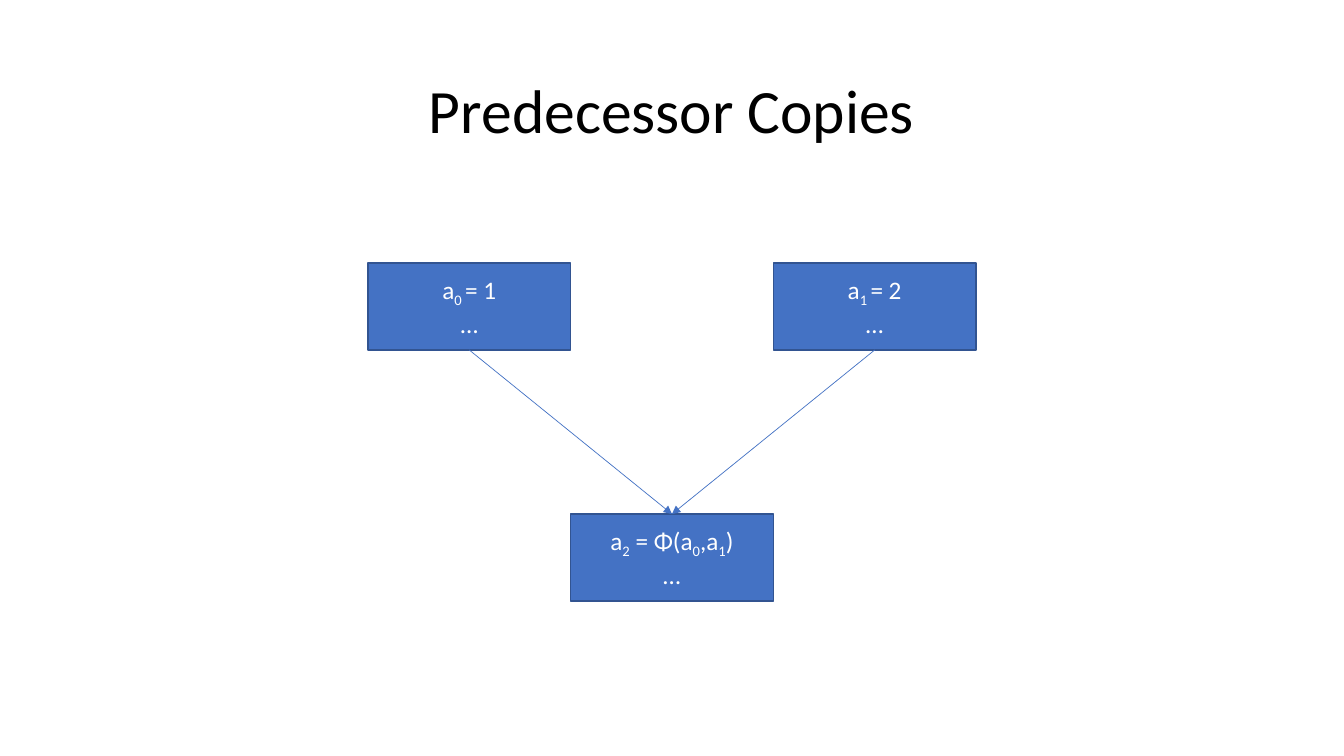
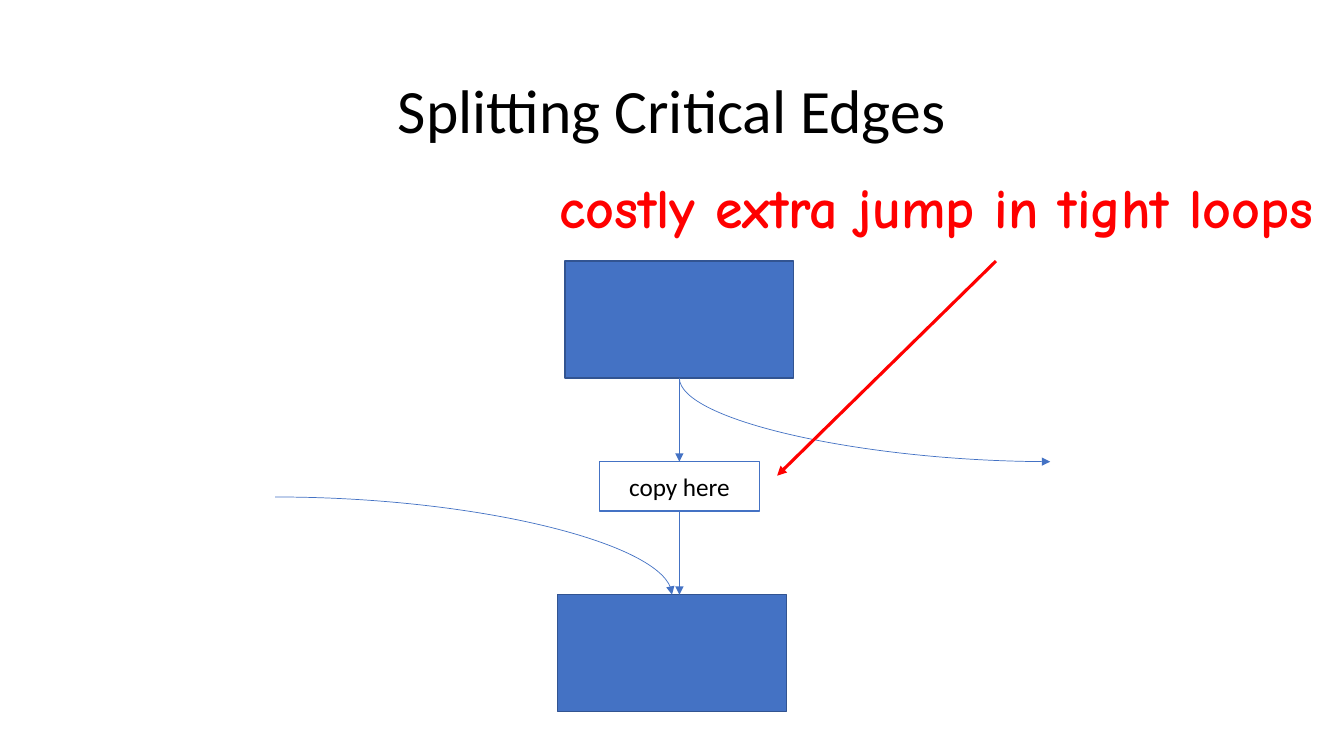
from dataclasses import dataclass

from lxml.etree import SubElement
from pptx import Presentation
from pptx.dml.color import RGBColor
from pptx.enum.shapes import MSO_CONNECTOR, MSO_SHAPE
from pptx.enum.text import MSO_ANCHOR, MSO_AUTO_SIZE, PP_ALIGN
from pptx.oxml.ns import qn
from pptx.slide import Slide
from pptx.text.text import TextFrame
from pptx.util import Pt

BLUE, NAVY, RED = "4472C4", "325491", "FF0000"
WHITE, BLACK = "FFFFFF", "000000"
Point = tuple[float, float]


@dataclass(frozen=True)
class Box:
    left: float
    top: float
    width: float
    height: float
    text: str = ""
    fill: str = BLUE
    line: str = NAVY
    color: str = WHITE

    @property
    def top_mid(self) -> Point:
        return self.left + self.width / 2, self.top

    @property
    def bottom_mid(self) -> Point:
        return self.left + self.width / 2, self.top + self.height


@dataclass(frozen=True)
class Arrow:
    start: Point
    end: Point
    color: str = BLUE
    width: float = 0.5
    curved: bool = False
    tip: str = "tailEnd"


def rgb(value: str) -> RGBColor:
    return RGBColor.from_string(value)


def write(tf: TextFrame, text: str, *, size: float = 18, font: str = "Calibri",
          color: str = BLACK, bold: bool = False, align: PP_ALIGN = PP_ALIGN.CENTER,
          spacing: float = 1.0) -> None:
    """Write one paragraph per line; parts between underscores are subscripts."""
    for i, line in enumerate(text.split("\n")):
        p = tf.paragraphs[0] if i == 0 else tf.add_paragraph()
        p.alignment, p.line_spacing = align, spacing
        for j, part in enumerate(line.split("_")):
            r = p.add_run()
            r.text = part
            r.font.size, r.font.name, r.font.bold = Pt(size), font, bold
            r.font.color.rgb = rgb(color)
            if j % 2:
                r._r.get_or_add_rPr().set("baseline", "-25000")


def add_box(s: Slide, box: Box) -> None:
    sp = s.shapes.add_shape(MSO_SHAPE.RECTANGLE, Pt(box.left), Pt(box.top),
                            Pt(box.width), Pt(box.height))
    sp.shadow.inherit = False
    sp.fill.solid()
    sp.fill.fore_color.rgb = rgb(box.fill)
    sp.line.color.rgb = rgb(box.line)
    sp.line.width = Pt(1)
    if box.text:
        tf = sp.text_frame
        tf.vertical_anchor = MSO_ANCHOR.MIDDLE
        write(tf, box.text, color=box.color)


def add_arrow(s: Slide, arrow: Arrow) -> None:
    kind = MSO_CONNECTOR.CURVE if arrow.curved else MSO_CONNECTOR.STRAIGHT
    sp = s.shapes.add_connector(kind, *map(Pt, arrow.start + arrow.end))
    sp.line.color.rgb = rgb(arrow.color)
    sp.line.width = Pt(arrow.width)
    props = sp._element.spPr
    if arrow.curved:
        props.find(qn("a:prstGeom")).set("prst", "curvedConnector2")
    SubElement(props.find(qn("a:ln")), qn(f"a:{arrow.tip}")).set("type", "triangle")
    SubElement(props, qn("a:effectLst"))


def add_slide(title: str, boxes: list[Box], arrows: list[Arrow]) -> Slide:
    s = prs.slides.add_slide(layout)
    write(s.shapes.title.text_frame, title, size=44, spacing=0.9)
    for box in boxes:
        add_box(s, box)
    for arrow in arrows:
        add_arrow(s, arrow)
    return s


prs = Presentation()
prs.slide_width, prs.slide_height = Pt(960), Pt(540)
layout = prs.slide_layouts.get_by_name("Title Only")
title = layout.placeholders[0]
title.left, title.top, title.width, title.height = map(Pt, (66, 28.8, 828, 104.4))
title.text_frame.vertical_anchor = MSO_ANCHOR.MIDDLE

w, h, left, top = 144.8, 62, 262.8, 188
one = Box(left, top, w, h, "a_0 _= 1\n…")
two = Box(left + 2 * w, top, w, h, "a_1 _= 2\n…")
phi = Box(left + w, 367.2, w, h, "a_2_ = Φ(a_0_,a_1_)\n…")
add_slide("Predecessor Copies", [phi, one, two],
          [Arrow(b.bottom_mid, phi.top_mid) for b in (one, two)])

w, h = 163.4, 83.5
source = Box(403.6, 186.5, w, h)
target = Box(398.3, 424.8, w, h)
split = Box(428.05, 329.8, 114.5, 35.3, "copy here", WHITE, BLUE, BLACK)
s = add_slide("Splitting Critical Edges", [target, source, split], [
    Arrow((196.6, 355), target.top_mid, curved=True),
    Arrow((750.2, split.top), source.bottom_mid, curved=True, tip="headEnd"),
    Arrow(source.bottom_mid, split.top_mid),
    Arrow(split.bottom_mid, (split.bottom_mid[0], target.top)),
    Arrow((711.4, source.top), (555.1, 339.8), RED, 2.25),
])
note = s.shapes.add_textbox(Pt(392.4), Pt(119.5), Pt(554.4), Pt(55.4))
tf = note.text_frame
tf.word_wrap = False
tf.auto_size = MSO_AUTO_SIZE.SHAPE_TO_FIT_TEXT
write(tf, "costly extra jump in tight loops", size=40, font="Comic Neue",
      color=RED, bold=True, align=PP_ALIGN.LEFT)

prs.save("out.pptx")
